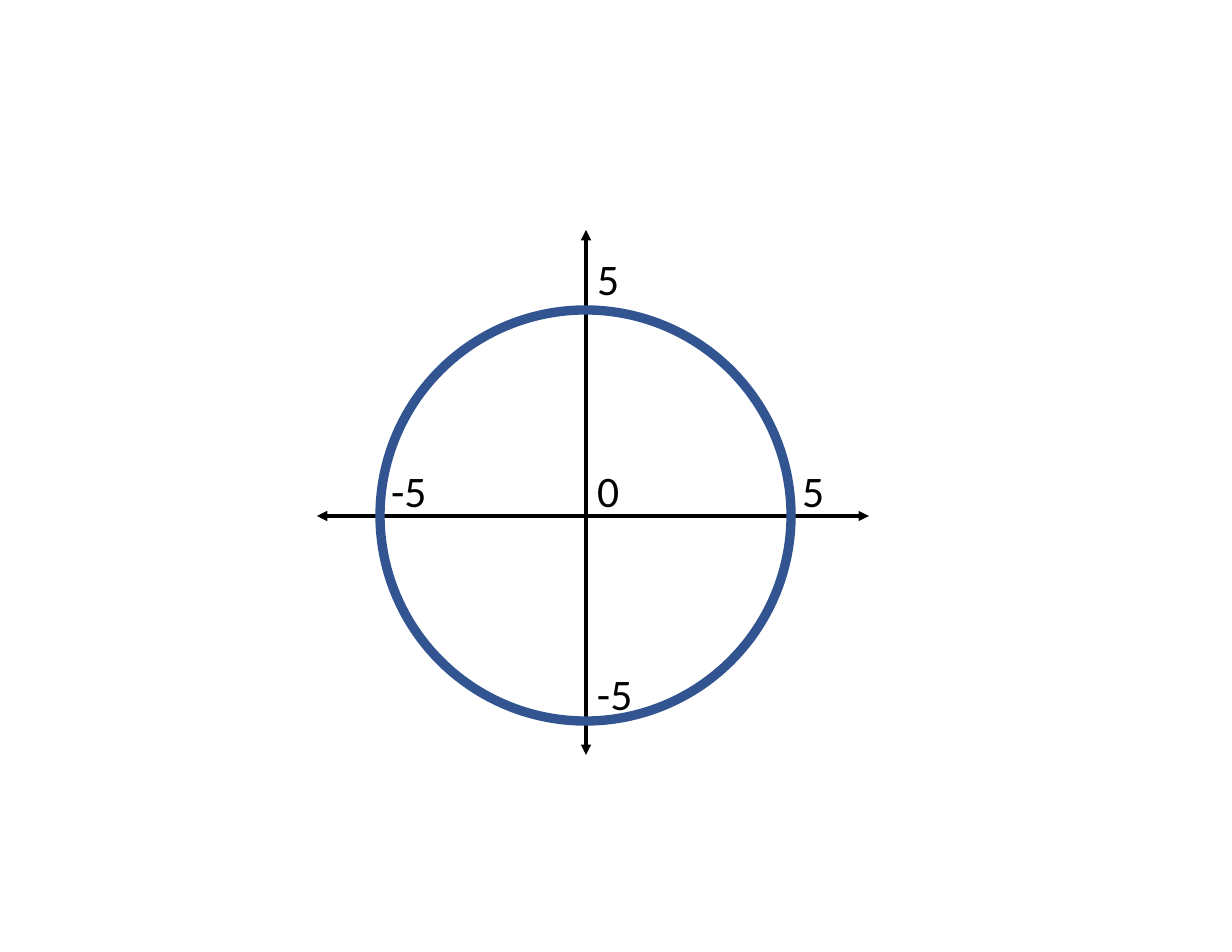
from lxml.etree import SubElement
from pptx import Presentation
from pptx.dml.color import RGBColor
from pptx.enum.shapes import MSO_CONNECTOR, MSO_SHAPE
from pptx.enum.text import MSO_AUTO_SIZE
from pptx.oxml.ns import qn
from pptx.util import Emu, Pt

SCALE = 914400 // 112
WIDTH, HEIGHT = 1232, 952
BLACK, BLUE = "000000", "325491"

CENTER_X, CENTER_Y, DIAMETER = 586, 516, 411
LEFT, TOP = 380, 310
RIGHT = LEFT + DIAMETER
LABEL_HEIGHT = 64

AXES = [
    (317, CENTER_Y, 869, CENTER_Y),
    (CENTER_X, 230, CENTER_X, 755),
]
# text, left, top, width
LABELS = [
    ("5", RIGHT, 458, 43),
    ("0", CENTER_X, 458, 43),
    ("-5", LEFT, 458, 63),
    ("5", CENTER_X, TOP - LABEL_HEIGHT, 43),
    ("-5", CENTER_X, 661, 80),
]


def px(*lengths):
    """Turn pixel lengths into EMU."""
    return [Emu(length * SCALE) for length in lengths]


def color(value):
    """Turn a hex string into a colour."""
    return RGBColor.from_string(value)


def add_axis(page, ends):
    """Draw an axis with an arrowhead at both ends."""
    axis = page.shapes.add_connector(MSO_CONNECTOR.STRAIGHT, *px(*ends))
    axis.line.color.rgb = color(BLACK)
    axis.line.width = Pt(2.25)
    properties = axis.element.spPr
    outline = properties.find(qn("a:ln"))
    for end in ("a:headEnd", "a:tailEnd"):
        SubElement(outline, qn(end), type="triangle")
    SubElement(properties, qn("a:effectLst"))


def add_circle(page):
    """Draw the unfilled circle."""
    circle = page.shapes.add_shape(
        MSO_SHAPE.OVAL, *px(LEFT, TOP, DIAMETER, DIAMETER))
    circle.shadow.inherit = False
    circle.fill.background()
    circle.line.color.rgb = color(BLUE)
    circle.line.width = Pt(6)


def add_label(page, text, left, top, width, size=28, font="Calibri", ink=BLACK):
    """Write one coordinate label."""
    box = page.shapes.add_textbox(*px(left, top, width, LABEL_HEIGHT))
    frame = box.text_frame
    frame.word_wrap = False
    frame.auto_size = MSO_AUTO_SIZE.SHAPE_TO_FIT_TEXT
    span = frame.paragraphs[0].add_run()
    span.text = text
    span.font.name = font
    span.font.size = Pt(size)
    span.font.color.rgb = color(ink)


deck = Presentation()
deck.slide_width, deck.slide_height = px(WIDTH, HEIGHT)
page = deck.slides.add_slide(deck.slide_layouts[6])
for ends in AXES:
    add_axis(page, ends)
add_circle(page)
for label in LABELS:
    add_label(page, *label)
deck.save("out.pptx")
